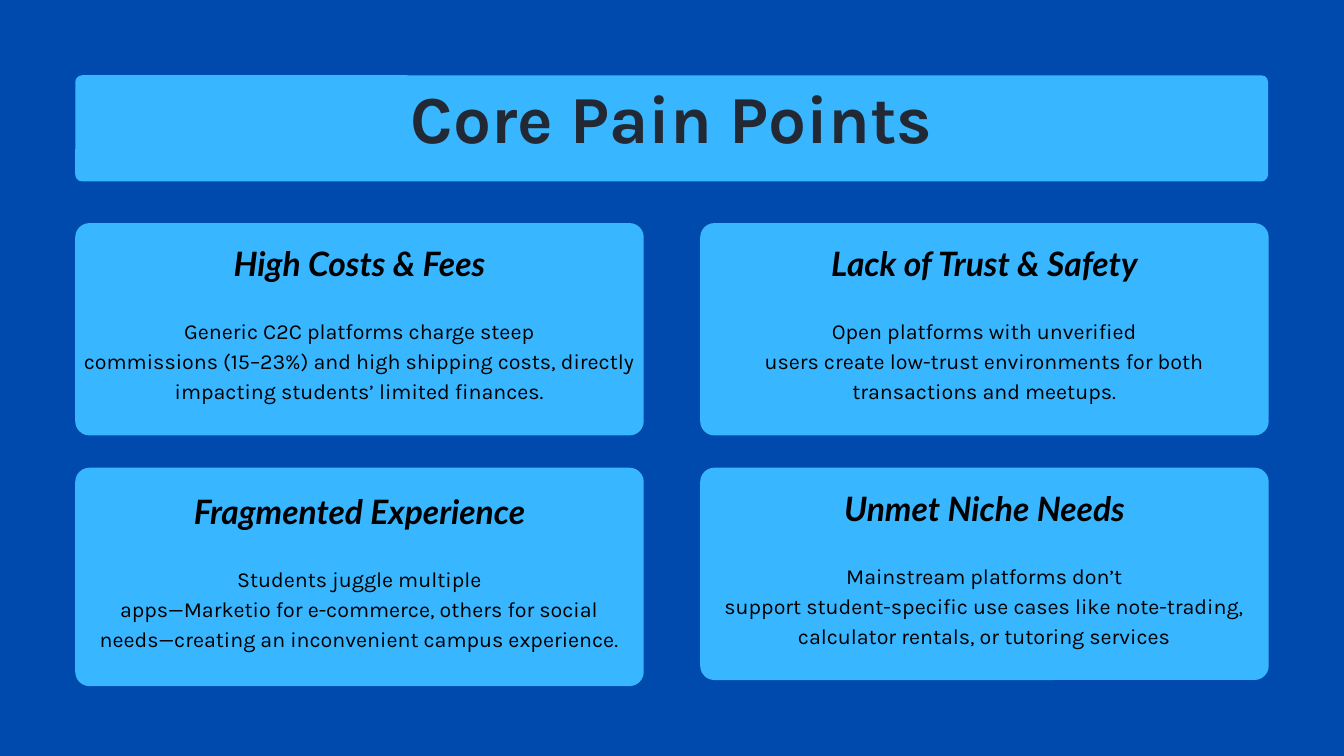
from pptx import Presentation
from pptx.dml.color import RGBColor
from pptx.enum.shapes import MSO_SHAPE as Shape
from pptx.enum.text import MSO_ANCHOR as Anchor, PP_ALIGN as Align
from pptx.util import Inches, Pt

NAVY = RGBColor(0x00, 0x4A, 0xAD)
SKY = RGBColor(0x38, 0xB6, 0xFF)
INK = RGBColor(0x22, 0x29, 0x34)
BLACK = RGBColor(0, 0, 0)

TITLE = "Core Pain Points"
CARDS = [
    ("High Costs & Fees", 3.16, [
        "Generic C2C platforms charge steep",
        "commissions (15–23%) and high shipping costs, directly",
        "impacting students’ limited finances."]),
    ("Lack of Trust & Safety", 3.16, [
        "Open platforms with unverified",
        "users create low-trust environments for both",
        "transactions and meetups."]),
    ("Fragmented Experience", 3.25, [
        "Students juggle multiple",
        "apps—Marketio for e-commerce, others for social",
        "needs—creating an inconvenient campus experience."]),
    ("Unmet Niche Needs", 3.16, [
        "Mainstream platforms don’t",
        "support student-specific use cases like note-trading,",
        "calculator rentals, or tutoring services"]),
]

LEFT, WIDE = 1.12, 17.75
CARD_W, STEP_X = 8.46, 9.3
CARD_TOP, STEP_Y = 3.32, 3.64
LEAD = 32.2


def panel(slide, x, y, w, h, radius, rise):
    card = slide.shapes.add_shape(
        Shape.ROUNDED_RECTANGLE, Inches(x), Inches(y), Inches(w), Inches(h))
    card.adjustments[0] = radius / h
    card.shadow.inherit = False
    card.fill.solid()
    card.fill.fore_color.rgb = SKY
    card.line.fill.background()
    box = slide.shapes.add_textbox(
        Inches(x), Inches(y - rise), Inches(w), Inches(h + rise))
    frame = box.text_frame
    frame.word_wrap = True
    frame.vertical_anchor = Anchor.MIDDLE
    frame.margin_left = frame.margin_right = Inches(0.06)
    frame.margin_top = frame.margin_bottom = Inches(0.06)
    return frame


def style(para, text, face, size, lead, color, bold=False, italic=False):
    para.text = text
    para.alignment = Align.CENTER
    para.line_spacing = Pt(lead)
    font = para.font
    font.name, font.size = face, Pt(size)
    font.bold, font.italic = bold, italic
    font.color.rgb = color


def main():
    deck = Presentation()
    deck.slide_width, deck.slide_height = Inches(20), Inches(11.25)
    slide = deck.slides.add_slide(deck.slide_layouts[6])
    slide.background.fill.solid()
    slide.background.fill.fore_color.rgb = NAVY

    frame = panel(slide, LEFT, 1.12, WIDE, 1.58, 0.1, 0.55)
    style(frame.paragraphs[0], TITLE, "Karla", 72, 100.8, INK, bold=True)

    for i, (head, high, lines) in enumerate(CARDS):
        row, col = divmod(i, 2)
        frame = panel(slide, LEFT + col * STEP_X, CARD_TOP + row * STEP_Y,
                      CARD_W, high, 0.21, 0.27)
        style(frame.paragraphs[0], head, "Lato", 36, 50.4, BLACK,
              bold=True, italic=True)
        for j, line in enumerate(lines):
            para = frame.add_paragraph()
            style(para, line, "Karla", 23, LEAD, BLACK)
            if j == 0:
                para.space_before = Pt(LEAD)

    deck.save("out.pptx")


if __name__ == "__main__":
    main()
